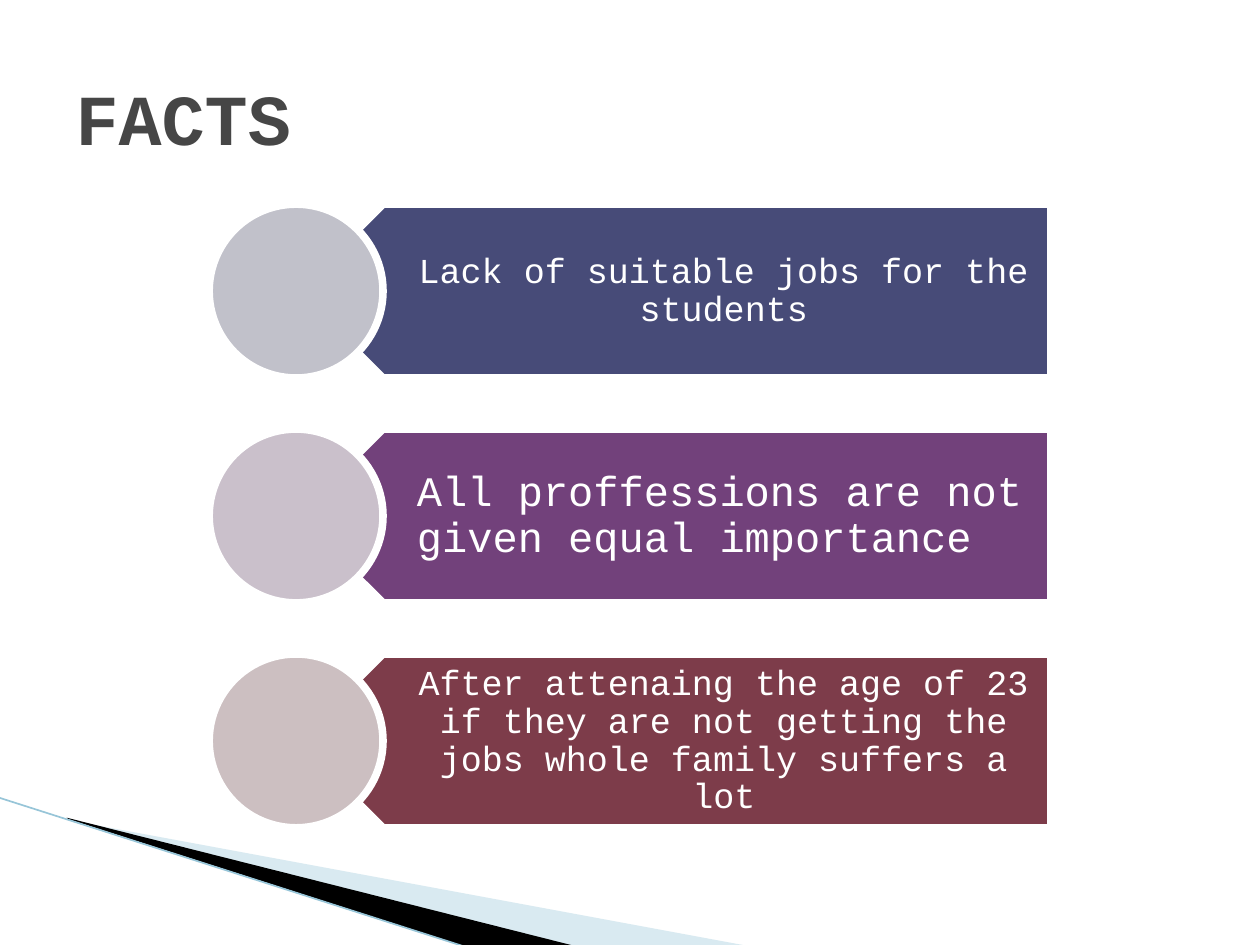
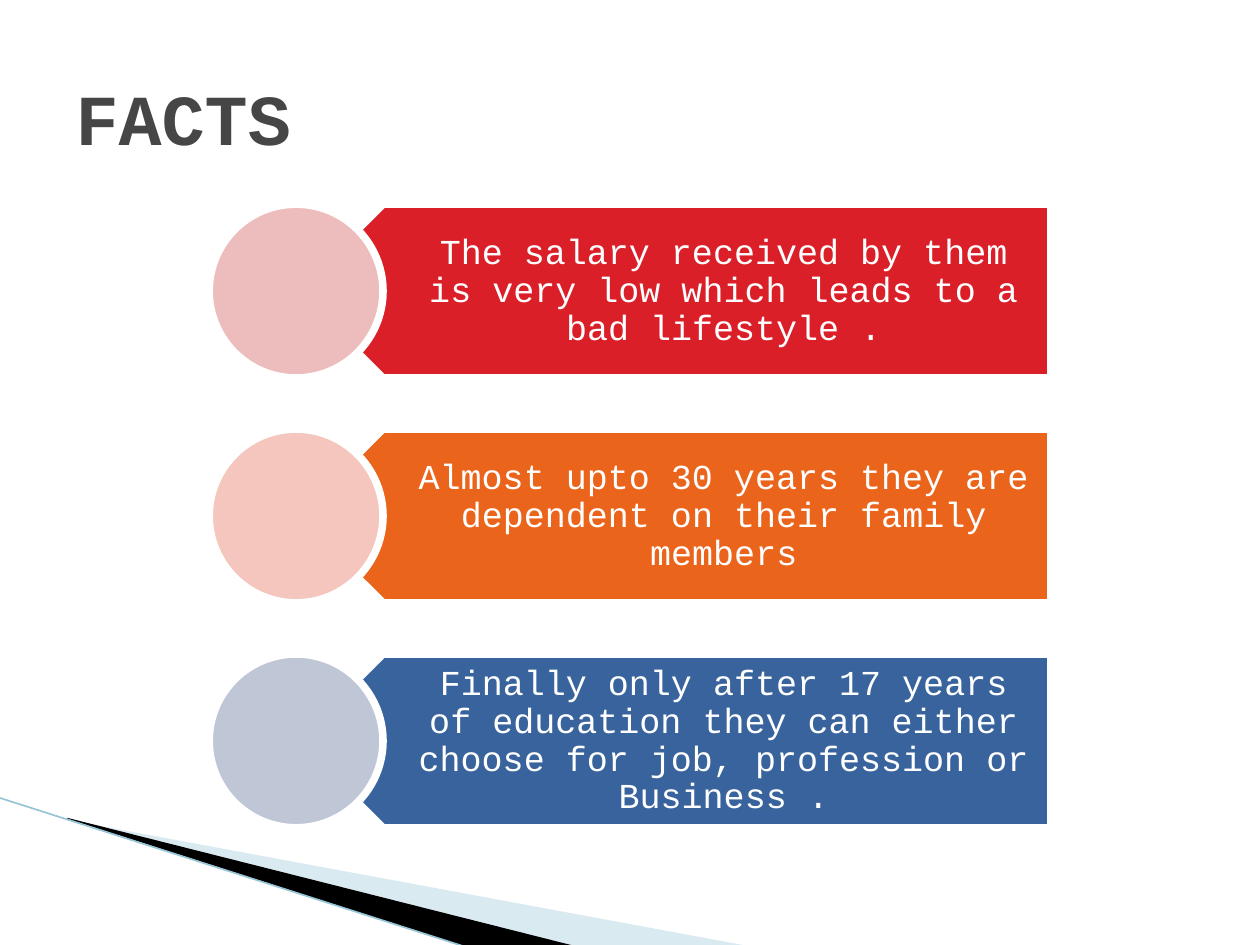
from lxml.etree import SubElement
from pptx import Presentation
from pptx.dml.color import RGBColor
from pptx.enum.shapes import MSO_CONNECTOR, MSO_SHAPE
from pptx.enum.text import MSO_ANCHOR, PP_ALIGN
from pptx.oxml.ns import qn
from pptx.util import Inches, Pt


def rgb(value):
    return RGBColor.from_string(value)


class Deck:
    FONT = "Courier New"
    WHITE = "FFFFFF"
    TITLE = "464646"
    WEDGE = "A0CBDC"
    SHADE = "000000"
    EDGE = "97C5D8"
    SIZE = 1.38
    TOP = 1.62
    PITCH = 1.785

    def __init__(self):
        self.prs = Presentation()
        self.prs.slide_width = Inches(10)
        self.prs.slide_height = Inches(7.5)

    def add_slide(self, title):
        self.s = self.prs.slides.add_slide(self.prs.slide_layouts[5])
        bg = self.s.background.fill
        bg.solid()
        bg.fore_color.rgb = rgb(self.WHITE)
        self.corner()
        self.title(title)

    def add_text(self, tf, text, size, color, align, bold=False):
        tf.word_wrap = True
        tf.vertical_anchor = MSO_ANCHOR.MIDDLE
        p = tf.paragraphs[0]
        p.alignment = align
        r = p.add_run()
        r.text = text
        r.font.name = self.FONT
        r.font.size = Pt(size)
        r.font.bold = bold
        r.font.color.rgb = rgb(color)
        return p

    def title(self, text):
        sp = self.s.shapes.title
        sp.left, sp.top = Inches(0.5), Inches(0.3)
        sp.width, sp.height = Inches(9), Inches(1.25)
        self.add_text(sp.text_frame, text, 41, self.TITLE, PP_ALIGN.LEFT, True)

    def wedge(self, points, color, alpha=None):
        start, *rest = [(Inches(x), Inches(y)) for x, y in points]
        builder = self.s.shapes.build_freeform(*start)
        builder.add_line_segments(rest, close=True)
        sp = builder.convert_to_shape()
        sp.shadow.inherit = False
        sp.fill.solid()
        sp.fill.fore_color.rgb = rgb(color)
        sp.line.fill.background()
        if alpha is not None:
            clr = sp._element.spPr.find(qn("a:solidFill"))[0]
            SubElement(clr, qn("a:alpha")).set("val", str(alpha * 1000))

    def line(self, x1, y1, x2, y2, color, width):
        sp = self.s.shapes.add_connector(
            MSO_CONNECTOR.STRAIGHT,
            Inches(x1), Inches(y1), Inches(x2), Inches(y2))
        sp.line.color.rgb = rgb(color)
        sp.line.width = Pt(width)
        SubElement(sp._element.spPr, qn("a:effectLst"))

    def corner(self):
        self.wedge([(0.55, 6.51), (5.95, 7.51), (4.56, 7.51), (0.55, 6.5)],
                   self.WEDGE, 40)
        self.wedge([(0.53, 6.49), (4.57, 7.51), (3.72, 7.52), (0.54, 6.5)],
                   self.SHADE)
        self.line(-0.01, 6.33, 3.71, 7.52, self.EDGE, 0.95)

    def shape(self, kind, x, y, w, color):
        sp = self.s.shapes.add_shape(
            kind, Inches(x), Inches(y), Inches(w), Inches(self.SIZE))
        sp.shadow.inherit = False
        sp.fill.solid()
        sp.fill.fore_color.rgb = rgb(color)
        sp.line.color.rgb = rgb(self.WHITE)
        sp.line.width = Pt(4.33)
        return sp

    def label(self, y, text, size, align):
        sp = self.s.shapes.add_textbox(
            Inches(2.7), Inches(y), Inches(5.64), Inches(self.SIZE))
        tf = sp.text_frame
        tf.margin_left = Inches(0.61)
        tf.margin_right = Inches(size / 125)
        tf.margin_top = tf.margin_bottom = Inches(size / 250)
        p = self.add_text(tf, text, size, self.WHITE, align)
        p.line_spacing = 0.9

    def fact(self, row, text, color, tint, size=20, align=PP_ALIGN.CENTER):
        y = self.TOP + row * self.PITCH
        self.shape(MSO_SHAPE.PENTAGON, 2.35, y, 5.99, color).rotation = 180
        self.label(y, text, size, align)
        self.shape(MSO_SHAPE.OVAL, 1.66, y, self.SIZE, tint)


SLIDES = [
    [
        ("Lack of suitable jobs for the students", "474B78", "C1C1CA"),
        ("All proffessions are not given equal importance",
         "72417B", "CAC0CB", 24, PP_ALIGN.LEFT),
        ("After attenaing the age of 23 if they are not getting the jobs "
         "whole family suffers a lot", "7D3C4A", "CCBFC1"),
    ],
    [
        ("The salary received by them is very low which leads to a bad "
         "lifestyle .", "DA1F28", "EDBDBE"),
        ("Almost upto 30 years they are dependent on their family members",
         "EB641B", "F5C6BD"),
        ("Finally only after 17 years of education they can either choose "
         "for job, profession or Business .", "39639D", "BFC6D5"),
    ],
]

deck = Deck()
for facts in SLIDES:
    deck.add_slide("FACTS")
    for row, fact in enumerate(facts):
        deck.fact(row, *fact)
deck.prs.save("out.pptx")
